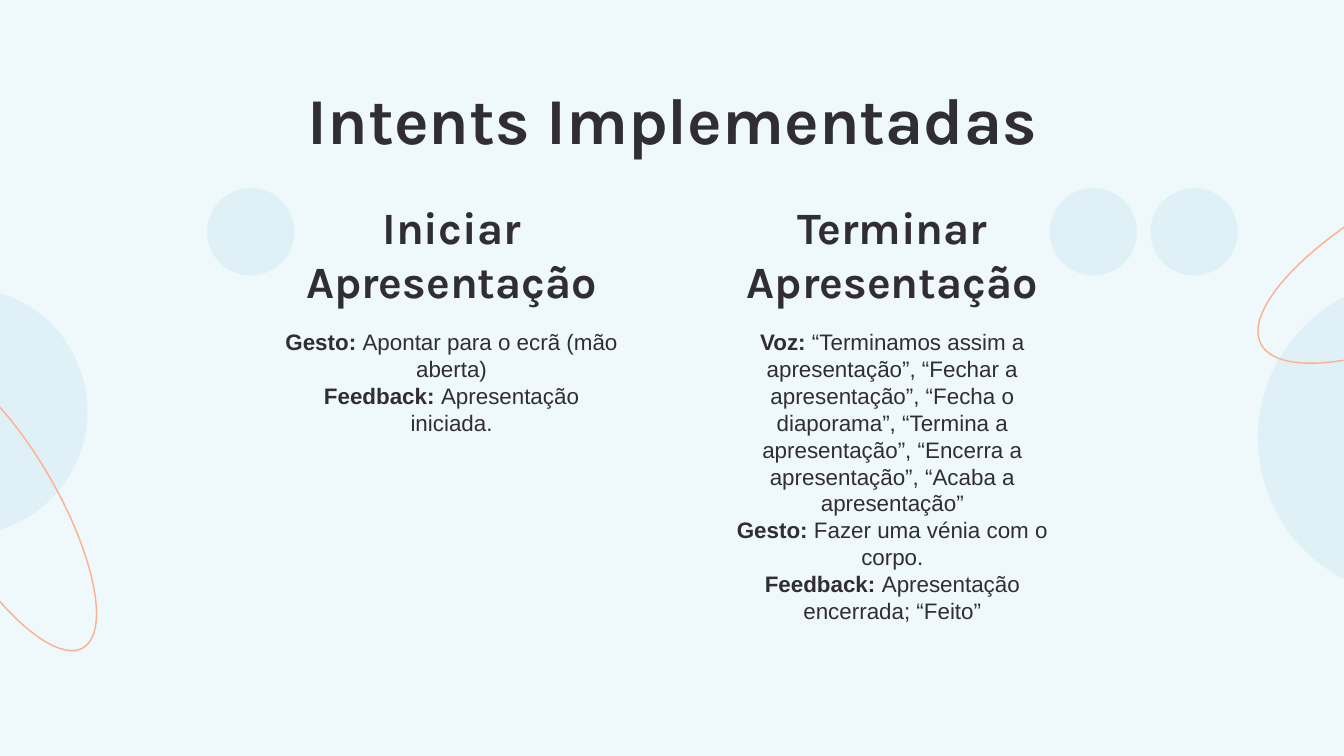
import dataclasses

import pptx
import pptx.dml.color
import pptx.enum.shapes
import pptx.enum.text
import pptx.oxml
import pptx.oxml.ns
import pptx.util


@dataclasses.dataclass(frozen=True)
class Theme:
    background: str = "EFF8FA"
    bubble: str = "DFF1F6"
    orbit: str = "FFAE8E"
    ink: str = "302D37"
    display: str = "Karla"
    text: str = "Arial"
    title_size: float = 35
    heading_size: float = 24
    heading_pitch: float = 28.9
    body_size: float = 12
    body_pitch: float = 14.43
    orbit_width: float = 0.75


THEME = Theme()
COMPARISON_LAYOUT = 4
PAGE_WIDTH = pptx.util.Inches(10)
PAGE_HEIGHT = PAGE_WIDTH * 9 // 16
HEADING_HEIGHT = 0.61
BODY_OFFSET = 0.56

BUBBLES = [
    (9.36, 2.08, 2.36),
    (-1.19, 2.14, 1.84),
    (1.54, 1.4, 0.65),
    (7.81, 1.4, 0.65),
    (8.56, 1.4, 0.65),
]
ORBITS = [
    ((9.21, 1.31, 3.14, 1.07), 333),
    ((-1.22, 3.34, 2.45, 0.84), 60),
]
COLUMNS = [
    ((1.99, 1.78, 2.74, 2.48), "Iniciar Apresentação", [
        ("Gesto:", "Apontar para o ecrã (mão aberta)"),
        ("Feedback:", "Apresentação iniciada."),
    ]),
    ((5.27, 1.78, 2.74, 2.48), "Terminar Apresentação", [
        ("Voz:", "“Terminamos assim a apresentação”, “Fechar a apresentação”, "
                 "“Fecha o diaporama”, “Termina a apresentação”, "
                 "“Encerra a apresentação”, “Acaba a apresentação”"),
        ("Gesto:", "Fazer uma vénia com o corpo."),
        ("Feedback:", "Apresentação encerrada; “Feito”"),
    ]),
]


def color(value):
    return pptx.dml.color.RGBColor.from_string(value)


def apply(target, values):
    for name, value in values.items():
        setattr(target, name, value)


def place(shape, box):
    names = ("left", "top", "width", "height")
    apply(shape, dict(zip(names, map(pptx.util.Inches, box))))


def add_ellipse(page, box):
    shape = page.shapes.add_shape(
        pptx.enum.shapes.MSO_SHAPE.OVAL, *map(pptx.util.Inches, box))
    shape.shadow.inherit = False
    return shape


def add_bubble(page, left, top, size):
    shape = add_ellipse(page, (left, top, size, size))
    shape.fill.solid()
    shape.fill.fore_color.rgb = color(THEME.bubble)
    shape.line.fill.background()


def add_orbit(page, box, rotation):
    shape = add_ellipse(page, box)
    shape.rotation = rotation
    shape.fill.background()
    shape.line.color.rgb = color(THEME.orbit)
    shape.line.width = pptx.util.Pt(THEME.orbit_width)


def remove_bullet(para):
    properties = para._p.get_or_add_pPr()
    properties.set("marL", "0")
    properties.set("indent", "0")
    properties.append(pptx.oxml.parse_xml(
        f"<a:buNone {pptx.oxml.ns.nsdecls('a')}/>"))


def fill_text(shape, box, paragraphs, font, size, anchor, pitch=None):
    place(shape, box)
    frame = shape.text_frame
    margins = ("margin_left", "margin_top", "margin_right", "margin_bottom")
    apply(frame, dict.fromkeys(margins, pptx.util.Inches(0.1)))
    apply(frame, {
        "word_wrap": True,
        "auto_size": pptx.enum.text.MSO_AUTO_SIZE.NONE,
        "vertical_anchor": anchor,
    })
    for index, spans in enumerate(paragraphs):
        para = frame.add_paragraph() if index else frame.paragraphs[0]
        remove_bullet(para)
        apply(para, {
            "alignment": pptx.enum.text.PP_ALIGN.CENTER,
            "space_before": pptx.util.Pt(0),
            "space_after": pptx.util.Pt(0),
            "line_spacing": pptx.util.Pt(pitch) if pitch else 1.0,
        })
        for text, bold in spans:
            span = para.add_run()
            span.text = text
            apply(span.font, {
                "name": font, "size": pptx.util.Pt(size), "bold": bold})
            span.font.color.rgb = color(THEME.ink)


def fill_title(page, box, text):
    fill_text(page.shapes.title, box, [[(text, True)]], THEME.display,
              THEME.title_size, pptx.enum.text.MSO_ANCHOR.TOP)


def fill_column(heading, body, box, title, entries):
    left, top, width, height = box
    fill_text(heading, (left, top, width, HEADING_HEIGHT), [[(title, True)]],
              THEME.display, THEME.heading_size,
              pptx.enum.text.MSO_ANCHOR.BOTTOM, THEME.heading_pitch)
    paragraphs = [[(label + " ", True), (text, False)]
                  for label, text in entries]
    fill_text(body, (left, top + BODY_OFFSET, width, height - BODY_OFFSET),
              paragraphs, THEME.text, THEME.body_size,
              pptx.enum.text.MSO_ANCHOR.TOP, THEME.body_pitch)


def main():
    deck = pptx.Presentation()
    apply(deck, {"slide_width": PAGE_WIDTH, "slide_height": PAGE_HEIGHT})
    page = deck.slides.add_slide(deck.slide_layouts[COMPARISON_LAYOUT])
    page.background.fill.solid()
    page.background.fill.fore_color.rgb = color(THEME.background)

    for bubble in BUBBLES:
        add_bubble(page, *bubble)
    for box, rotation in ORBITS:
        add_orbit(page, box, rotation)

    fill_title(page, (0.79, 0.49, 8.43, 0.63), "Intents Implementadas")
    holders = list(page.placeholders)[1:]
    for heading, body, column in zip(holders[::2], holders[1::2], COLUMNS):
        fill_column(heading, body, *column)

    deck.save("out.pptx")


if __name__ == "__main__":
    main()
